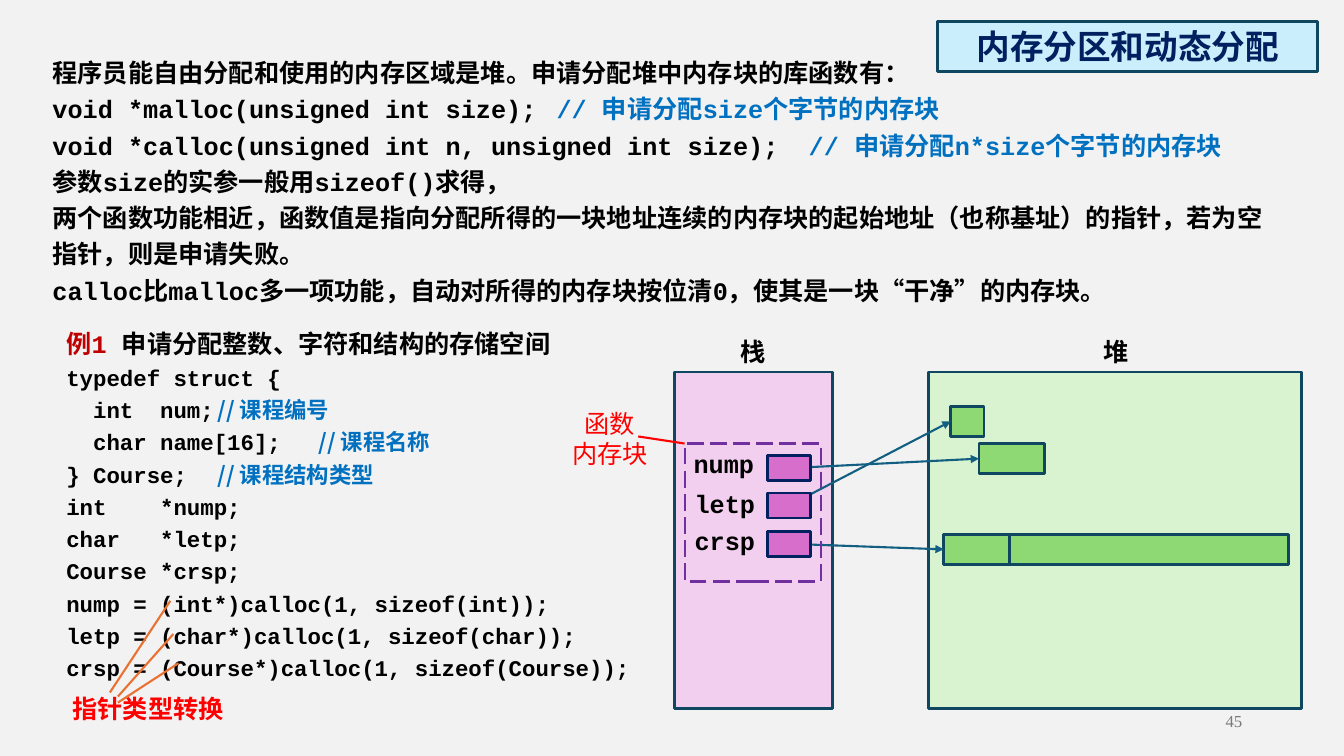
"""Build a slide on the stack, the heap and dynamic memory allocation."""
from lxml import etree
from pptx import Presentation
from pptx.dml.color import RGBColor
from pptx.enum.dml import MSO_LINE
from pptx.enum.shapes import MSO_CONNECTOR, MSO_SHAPE
from pptx.enum.text import MSO_ANCHOR, MSO_AUTO_SIZE, PP_ALIGN
from pptx.oxml.ns import qn
from pptx.util import Inches, Pt

RECTANGLE = MSO_SHAPE.RECTANGLE
STRAIGHT = MSO_CONNECTOR.STRAIGHT
LONG_DASH = MSO_LINE.LONG_DASH
LEFT, CENTER, RIGHT = PP_ALIGN.LEFT, PP_ALIGN.CENTER, PP_ALIGN.RIGHT
TOP, MIDDLE = MSO_ANCHOR.TOP, MSO_ANCHOR.MIDDLE
NO_FIT = MSO_AUTO_SIZE.NONE

CODE, HAN, SERIF = "Courier New", "Noto Sans CJK SC", "Times New Roman"
BLACK, BLUE, RED, DARK_RED = "000000", "0070C0", "FF0000", "C00000"
NAVY, TEAL, ARROW, ORANGE, PURPLE = "002060", "104760", "125F82", "E97132", "7030A0"

TITLE = "内存分区和动态分配"
INTRO = [
    ("程序员能自由分配和使用的内存区域是堆。申请分配堆中内存块的库函数有：", ""),
    ("void *malloc(unsigned int size);", "// 申请分配size个字节的内存块"),
    ("void *calloc(unsigned int n, unsigned int size);", "// 申请分配n*size个字节的内存块"),
    ("参数size的实参一般用sizeof()求得，", ""),
    ("两个函数功能相近，函数值是指向分配所得的一块地址连续的内存块的起始地址"
     "（也称基址）的指针，若为空指针，则是申请失败。", ""),
    ("calloc比malloc多一项功能，自动对所得的内存块按位清0，使其是一块“干净”的内存块。", ""),
]
INTRO_TAB = 7.5
EXAMPLE_HEADING = [("例", HAN, DARK_RED), ("1 ", CODE, DARK_RED),
                   ("申请分配整数、字符和结构的存储空间", CODE, BLACK)]
EXAMPLE_CODE = [
    ("typedef struct {", "", 0),
    ("  int  num;", "// 课程编号", 2.27),
    ("  char name[16];", "// 课程名称", 2.27),
    ("} Course;", "// 课程结构类型", 1.47),
    ("int    *nump;", "", 0),
    ("char   *letp;", "", 0),
    ("Course *crsp;", "", 0),
    ("nump = (int*)calloc(1, sizeof(int));", "", 0),
    ("letp = (char*)calloc(1, sizeof(char));", "", 0),
    ("crsp = (Course*)calloc(1, sizeof(Course));", "", 0),
]
PANELS = [("栈", 7.25, (6.69, 3.69, 1.57, 3.34), "F2CFEE"),
          ("堆", 10.85, (9.21, 3.69, 3.7, 3.34), "D9F2D0")]
POINTERS = [("nump", 6.78, 4.4, 4.52, (9.71, 4.4, 0.65, 0.3)),
            ("letp", 6.79, 4.8, 4.89, (9.43, 4.03, 0.33, 0.3)),
            ("crsp", 6.79, 5.16, 5.27, (9.36, 5.3, 0.65, 0.3))]
STRUCT_NAME_BLOCK = (10.01, 5.3, 2.77, 0.3)
CELL_LEFT, CELL_WIDTH, CELL_HEIGHT = 7.61, 0.43, 0.25
FRAME = (6.79, 4.4, 1.35, 1.37)
CAST_LINES = [(1.09, 6.87, 1.69, 5.96), (1.17, 6.91, 1.72, 6.29), (1.17, 6.97, 1.77, 6.58)]


def color(value):
    return RGBColor.from_string(value)


def inches(values):
    return [Inches(value) for value in values]


def place(box, bounds):
    box.left, box.top, box.width, box.height = inches(bounds)


def outline(shape, value, width):
    shape.line.color.rgb = color(value)
    shape.line.width = Pt(width)


def add_span(para, text, face=CODE, value=BLACK, size=18, bold=True):
    span = para.add_run()
    span.text = text
    span.font.size, span.font.bold = Pt(size), bold
    span.font.color.rgb = color(value)
    span.font.name = face
    etree.SubElement(span.font._element, qn("a:ea")).set("typeface", HAN)


def next_para(frame):
    first = frame.paragraphs[0]
    return frame.add_paragraph() if first.runs else first


def add_code_para(frame, text, comment, tab, size=18, comment_face=CODE):
    para = next_para(frame)
    properties = para._p.get_or_add_pPr()
    properties.set("marL", "0")
    properties.set("indent", "0")
    etree.SubElement(properties, qn("a:buNone"))
    if comment:
        stops = etree.SubElement(properties, qn("a:tabLst"))
        stop = etree.SubElement(stops, qn("a:tab"))
        stop.set("pos", str(Inches(tab)))
        stop.set("algn", "l")
    para.line_spacing, para.space_before = 1.2, Pt(0)
    add_span(para, text + ("\t" if comment else ""), size=size)
    if comment:
        add_span(para, comment, comment_face, BLUE, size)


def add_label(page, bounds, lines, align=LEFT, anchor=TOP, wrap=False, **style):
    frame = page.shapes.add_textbox(*inches(bounds)).text_frame
    frame.word_wrap, frame.vertical_anchor = wrap, anchor
    for text in lines:
        para = next_para(frame)
        para.alignment = align
        add_span(para, text, **style)


def add_block(page, bounds, fill, line=TEAL, width=2):
    block = page.shapes.add_shape(RECTANGLE, *inches(bounds))
    block.shadow.inherit = False
    if fill:
        block.fill.solid()
        block.fill.fore_color.rgb = color(fill)
    else:
        block.fill.background()
    outline(block, line, width)
    return block


def add_line(page, ends, value, arrow=False):
    line = page.shapes.add_connector(STRAIGHT, *inches(ends))
    outline(line, value, 1.5)
    if arrow:
        stroke = line.line._get_or_add_ln()
        etree.SubElement(stroke, qn("a:headEnd")).set("type", "oval")
        etree.SubElement(stroke, qn("a:tailEnd")).set("type", "triangle")
    etree.SubElement(line._element.spPr, qn("a:effectLst"))


def add_title(page):
    title = page.shapes.title
    place(title, (9.3, 0.21, 3.77, 0.5))
    geometry = etree.SubElement(title._element.spPr, qn("a:prstGeom"))
    geometry.set("prst", "roundRect")
    etree.SubElement(geometry, qn("a:avLst"))
    title.fill.solid()
    title.fill.fore_color.rgb = color("CAEEFB")
    outline(title, TEAL, 2)
    frame = title.text_frame
    frame.auto_size, frame.vertical_anchor = NO_FIT, MIDDLE
    frame.paragraphs[0].alignment = CENTER
    add_span(frame.paragraphs[0], TITLE, HAN, NAVY, 24)


def add_texts(page):
    body = page.placeholders[1]
    place(body, (0.42, 0.46, 12.27, 2.63))
    body.text_frame.auto_size = NO_FIT
    for text, comment in INTRO:
        add_code_para(body.text_frame, text, comment, INTRO_TAB)

    frame = page.shapes.add_textbox(*inches((0.56, 3.15, 5.98, 3.68))).text_frame
    frame.word_wrap = True
    heading = frame.paragraphs[0]
    heading.line_spacing = 1.2
    for text, face, value in EXAMPLE_HEADING:
        add_span(heading, text, face, value)
    for text, comment, tab in EXAMPLE_CODE:
        add_code_para(frame, text, comment, tab, 16, HAN)


def add_memory(page):
    for name, left, bounds, fill in PANELS:
        add_block(page, bounds, fill)
        add_label(page, (left, 3.29, 0.45, 0.4), [name], face=HAN)
    for name, left, top, cell_top, target in POINTERS:
        add_block(page, target, "8ED973")
        start = (CELL_LEFT + CELL_WIDTH / 2, cell_top + CELL_HEIGHT / 2)
        add_line(page, (*start, target[0], target[1] + target[3] / 2), ARROW, True)
    for name, left, top, cell_top, target in POINTERS:
        add_block(page, (CELL_LEFT, cell_top, CELL_WIDTH, CELL_HEIGHT), "D86ECC", NAVY)
        add_label(page, (left, top, 0.81, 0.4), [name])
    add_block(page, STRUCT_NAME_BLOCK, "8ED973")
    add_block(page, FRAME, None, PURPLE, 1.5).line.dash_style = LONG_DASH
    add_label(page, (5.57, 4, 0.96, 0.71), ["函数", "内存块"], CENTER,
              face=HAN, value=RED, bold=False)
    add_line(page, (6.33, 4.33, 6.79, 4.4), RED)


def main():
    deck = Presentation()
    deck.slide_width, deck.slide_height = inches((13.33, 7.5))
    page = deck.slides.add_slide(deck.slide_layouts[1])
    page.background.fill.solid()
    page.background.fill.fore_color.rgb = color("F2F2F2")
    add_title(page)
    add_texts(page)
    add_memory(page)
    add_label(page, (0.62, 6.83, 1.71, 0.4), ["指针类型转换"], wrap=True, face=HAN, value=RED)
    for ends in CAST_LINES:
        add_line(page, ends, ORANGE)
    add_label(page, (9.42, 6.95, 3, 0.4), ["45"], RIGHT, MIDDLE, True,
              face=SERIF, value="797979", size=12, bold=False)
    deck.save("out.pptx")


if __name__ == "__main__":
    main()
